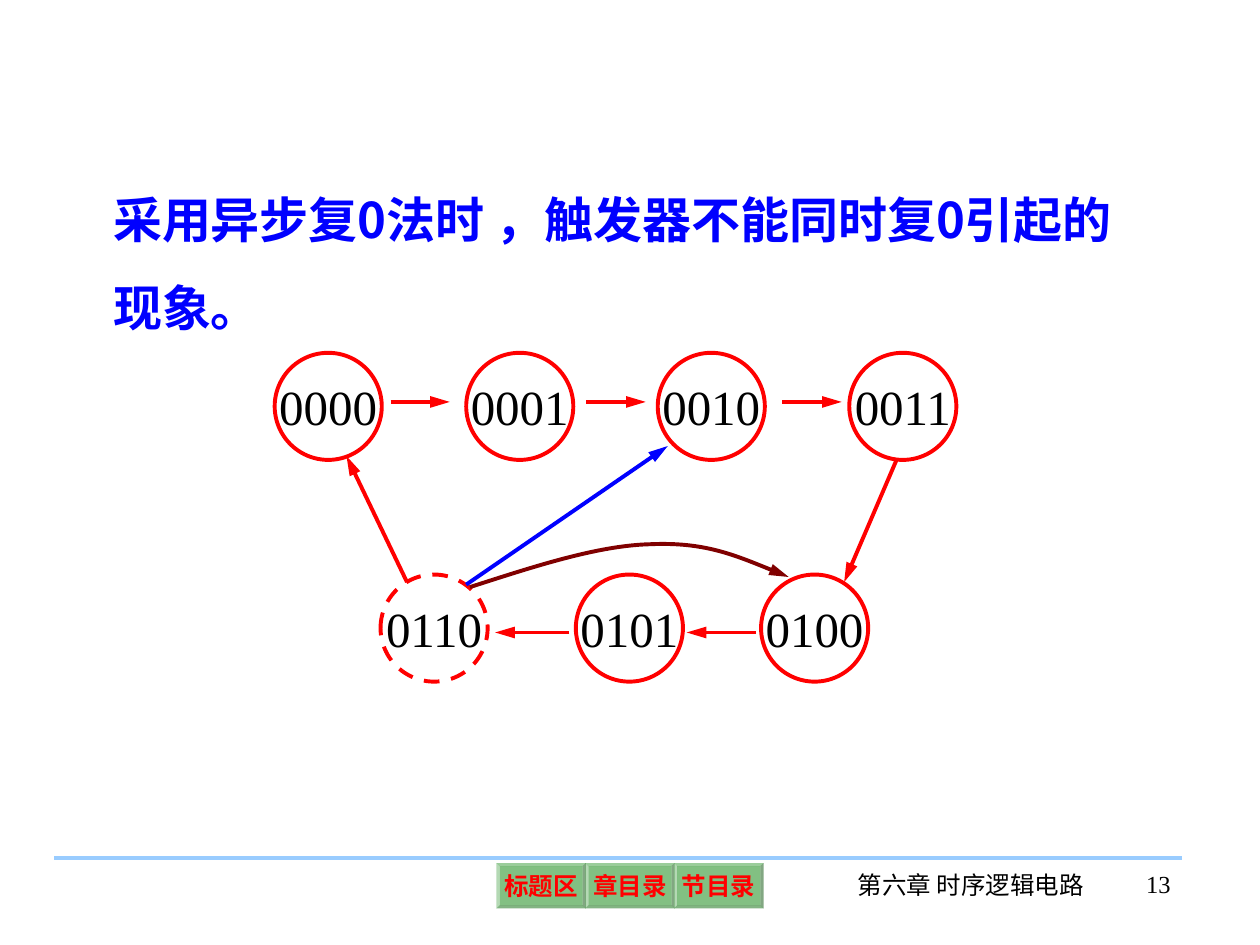
import pptx
import pptx.util
import pptx.dml.color
import pptx.enum.dml
import pptx.enum.shapes
import pptx.enum.text
import pptx.oxml
import pptx.oxml.ns
from lxml import etree

Inches = pptx.util.Inches
Pt = pptx.util.Pt
qn = pptx.oxml.ns.qn
SHAPES = pptx.enum.shapes.MSO_SHAPE
ALIGN = pptx.enum.text.PP_ALIGN
ANCHOR = pptx.enum.text.MSO_ANCHOR

COLORS = {
    "text": "000000",
    "state": "FF0000",
    "heading": "0000FF",
    "skip": "800000",
    "rule": "99CCFF",
    "button": "008000",
}
LATIN_FONT = "Times New Roman"
CHINESE_FONT = "Noto Sans CJK SC"
LINE_WIDTH = 2.25


def color(name):
    return pptx.dml.color.RGBColor.from_string(COLORS[name])


def write_text(shape, text, size=14, font=LATIN_FONT, fill="text", bold=False,
               align=ALIGN.CENTER, anchor=ANCHOR.TOP, wrap=True,
               line_spacing=None, insets=(0.1, 0.05)):
    frame = shape.text_frame
    frame.word_wrap = wrap
    frame.vertical_anchor = anchor
    frame.margin_left = frame.margin_right = Inches(insets[0])
    frame.margin_top = frame.margin_bottom = Inches(insets[1])
    paragraph = frame.paragraphs[0]
    paragraph.alignment = align
    if line_spacing:
        paragraph.line_spacing = line_spacing
    run = paragraph.add_run()
    run.text = text
    run.font.size = Pt(size)
    run.font.bold = bold
    run.font.name = font
    run.font.color.rgb = color(fill)
    east_asian = etree.SubElement(run.font._element, qn("a:ea"))
    east_asian.set("typeface", CHINESE_FONT)


def add_text(slide, box, text, **text_format):
    shape = slide.shapes.add_textbox(*map(Inches, box))
    write_text(shape, text, **text_format)


def style_line(shape, line_color, arrow=False):
    shape.line.color.rgb = color(line_color)
    shape.line.width = Pt(LINE_WIDTH)
    if arrow:
        tail = etree.SubElement(shape.line._get_or_add_ln(), qn("a:tailEnd"))
        tail.set("type", "triangle")
        tail.set("w", "med")
        tail.set("len", "lg")


def add_line(slide, start, end, line_color="state", arrow=True):
    connector = slide.shapes.add_connector(
        pptx.enum.shapes.MSO_CONNECTOR.STRAIGHT, *map(Inches, start + end))
    style_line(connector, line_color, arrow)
    etree.SubElement(connector._element.spPr, qn("a:effectLst"))


def add_curve(slide, points, line_color):
    """Draw a chain of cubic curves: a start, then two controls and an end each."""
    points = [(Inches(x), Inches(y)) for x, y in points]
    builder = slide.shapes.build_freeform(*points[0])
    builder.add_line_segments(points[1:], close=False)
    shape = builder.convert_to_shape()
    shape.shadow.inherit = False
    shape.fill.background()
    style_line(shape, line_color, arrow=True)
    segments = list(shape._element.iter(qn("a:lnTo")))
    outline = segments[0].getparent()
    for first in range(0, len(segments), 3):
        curve = etree.SubElement(outline, qn("a:cubicBezTo"))
        for segment in segments[first:first + 3]:
            curve.append(segment[0])
            outline.remove(segment)


def add_state(slide, left, top, code, dashed=False):
    size = Inches(0.85)
    circle = slide.shapes.add_shape(
        SHAPES.OVAL, Inches(left), Inches(top), size, size)
    circle.shadow.inherit = False
    circle.fill.background()
    style_line(circle, "state")
    if dashed:
        circle.line.dash_style = pptx.enum.dml.MSO_LINE.DASH
    write_text(circle, code, size=28, anchor=ANCHOR.MIDDLE, wrap=False)


def add_state_diagram(slide, left, top):
    """Draw the counting cycle with its top-left corner at the given place."""
    def place(x, y):
        return left + x, top + y

    for column, code in enumerate(("0000", "0001", "0010", "0011")):
        add_state(slide, *place(1.52 * column, 0), code)
    for x, code in ((3.86, "0100"), (2.39, "0101"), (0.84, "0110")):
        add_state(slide, *place(x, 1.76), code, dashed=code == "0110")

    for column in range(3):
        x = 0.92 + 1.555 * column
        add_line(slide, place(x, 0.39), place(x + 0.47, 0.39))
    for start, end in (
        ((4.94, 0.84), (4.52, 1.82)),
        ((3.82, 2.22), (3.27, 2.22)),
        ((2.34, 2.22), (1.75, 2.22)),
        ((1.05, 1.82), (0.57, 0.82)),
    ):
        add_line(slide, place(*start), place(*end))

    add_line(slide, place(1.52, 1.84), place(3.12, 0.74), "heading")
    curve = ((1.55, 1.86), (2.05, 1.7), (2.56, 1.53), (2.98, 1.52),
             (3.41, 1.5), (3.74, 1.64), (4.08, 1.78))
    add_curve(slide, [place(*point) for point in curve], "skip")


def add_button(slide, box, label):
    button = slide.shapes.add_shape(SHAPES.BEVEL, *map(Inches, box))
    button.shadow.inherit = False
    button.adjustments[0] = 0.07
    button.fill.solid()
    button.fill.fore_color.rgb = color("button")
    fill_color = button._element.spPr.find(qn("a:solidFill"))[0]
    etree.SubElement(fill_color, qn("a:alpha")).set("val", "49000")
    button.line.fill.background()
    write_text(button, label, fill="state", bold=True, anchor=ANCHOR.MIDDLE,
               wrap=False, insets=(0.04, 0.04))


def add_footer(slide, left, top, width):
    add_line(slide, (left, top), (left + width, top), "rule", arrow=False)
    for index, label in enumerate(("标题区", "章目录", "节目录")):
        add_button(slide, (left + 3.51 + 0.705 * index, top + 0.04, 0.71, 0.36), label)
    add_text(slide, (left + 6.23, top + 0.05, 2.09, 0.5), "第六章 时序逻辑电路")
    add_text(slide, (left + 8.1, top + 0.04, 0.86, 0.5), "13", align=ALIGN.RIGHT)


def main():
    presentation = pptx.Presentation()
    presentation.slide_width = Inches(10)
    presentation.slide_height = Inches(7.5)
    slide = presentation.slides.add_slide(presentation.slide_layouts[6])
    add_text(slide, (0.8, 1.22, 8.34, 1.5),
             "采用异步复0法时 ，触发器不能同时复0引起的现象。",
             size=28, font=CHINESE_FONT, fill="heading", bold=True,
             align=ALIGN.LEFT, line_spacing=1.5)
    add_state_diagram(slide, 2.18, 2.8)
    add_footer(slide, 0.43, 6.81, 8.95)
    presentation.save("out.pptx")


if __name__ == "__main__":
    main()
